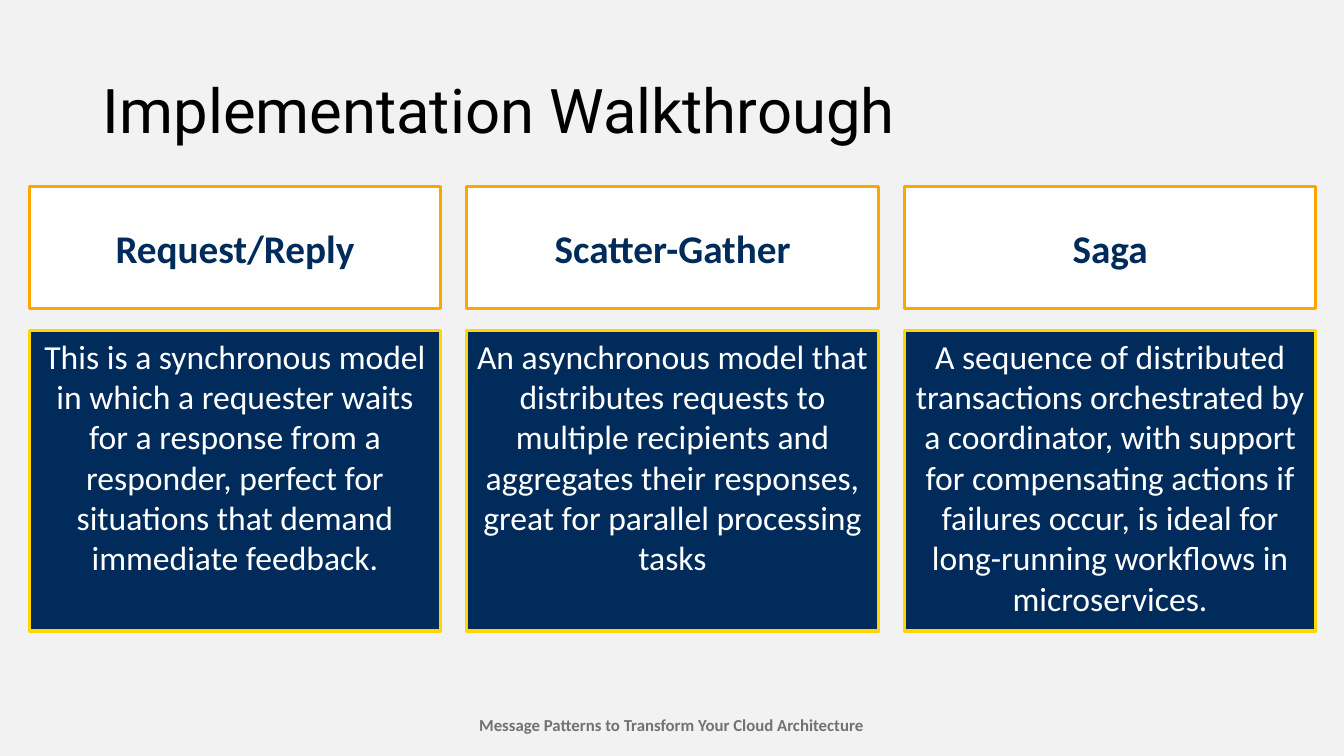
from dataclasses import dataclass

from pptx import Presentation
from pptx.dml.color import RGBColor
from pptx.enum.shapes import MSO_SHAPE
from pptx.enum.text import MSO_ANCHOR, PP_ALIGN
from pptx.util import Inches, Pt

RECT = MSO_SHAPE.RECTANGLE
TOP, MIDDLE = MSO_ANCHOR.TOP, MSO_ANCHOR.MIDDLE
LEFT, CENTER = PP_ALIGN.LEFT, PP_ALIGN.CENTER
TITLE_ONLY = 5


@dataclass(frozen=True)
class Theme:
    background: str = "F2F2F2"
    black: str = "000000"
    white: str = "FFFFFF"
    navy: str = "002B5B"
    orange: str = "FFA500"
    gold: str = "FFD700"
    gray: str = "727272"
    title_font: str = "Roboto"
    body_font: str = "Calibri"
    title_size: int = 44
    heading_size: int = 28
    body_size: int = 24
    footer_size: int = 12
    border: float = 2.25


THEME = Theme()

PATTERNS = [
    ("Request/Reply",
     "This is a synchronous model in which a requester waits for a response "
     "from a responder, perfect for situations that demand immediate feedback."),
    ("Scatter-Gather",
     "An asynchronous model that distributes requests to multiple recipients "
     "and aggregates their responses, great for parallel processing tasks"),
    ("Saga",
     "A sequence of distributed transactions orchestrated by a coordinator, "
     "with support for compensating actions if failures occur, is ideal for "
     "long-running workflows in microservices."),
]

CARD_LEFT, CARD_WIDTH, CARD_PITCH = 0.29, 4.08, 4.34
HEADING_TOP, HEADING_HEIGHT = 1.85, 1.21
BODY_TOP, BODY_HEIGHT = 3.28, 2.98


def rgb(value):
    return RGBColor.from_string(value)


def write(shape, text, *, size, color, font=THEME.body_font, bold=False,
          align=CENTER, anchor=TOP, wrap=True, line_spacing=None):
    tf = shape.text_frame
    tf.word_wrap = wrap
    tf.vertical_anchor = anchor
    p = tf.paragraphs[0]
    p.alignment = align
    p.line_spacing = line_spacing
    r = p.add_run()
    r.text = text
    r.font.name = font
    r.font.size = Pt(size)
    r.font.bold = bold
    r.font.color.rgb = rgb(color)


def add_title(s, text):
    title = s.shapes.title
    title.left, title.top = Inches(0.92), Inches(0.4)
    title.width, title.height = Inches(11.5), Inches(1.45)
    write(title, text, size=THEME.title_size, color=THEME.black,
          font=THEME.title_font, align=LEFT, anchor=MIDDLE, line_spacing=0.9)


def add_box(s, left, top, height, text, *, fill, line, **text_format):
    box = s.shapes.add_shape(RECT, Inches(left), Inches(top),
                             Inches(CARD_WIDTH), Inches(height))
    box.shadow.inherit = False
    box.fill.solid()
    box.fill.fore_color.rgb = rgb(fill)
    box.line.color.rgb = rgb(line)
    box.line.width = Pt(THEME.border)
    write(box, text, **text_format)


def add_card(s, left, heading, body):
    add_box(s, left, HEADING_TOP, HEADING_HEIGHT, heading,
            fill=THEME.white, line=THEME.orange, size=THEME.heading_size,
            color=THEME.navy, bold=True, anchor=MIDDLE)
    add_box(s, left, BODY_TOP, BODY_HEIGHT, body,
            fill=THEME.navy, line=THEME.gold, size=THEME.body_size,
            color=THEME.white)


def add_footer(s, text):
    footer = s.shapes.add_textbox(Inches(4.63), Inches(7.04),
                                  Inches(4.06), Inches(0.3))
    write(footer, text, size=THEME.footer_size, color=THEME.gray,
          bold=True, wrap=False)


def main():
    prs = Presentation()
    prs.slide_width, prs.slide_height = Inches(13.33), Inches(7.5)
    s = prs.slides.add_slide(prs.slide_layouts[TITLE_ONLY])
    s.background.fill.solid()
    s.background.fill.fore_color.rgb = rgb(THEME.background)

    add_footer(s, "Message Patterns to Transform Your Cloud Architecture")
    add_title(s, "Implementation Walkthrough")
    for i, (heading, body) in enumerate(PATTERNS):
        add_card(s, CARD_LEFT + i * CARD_PITCH, heading, body)

    prs.save("out.pptx")


if __name__ == "__main__":
    main()
